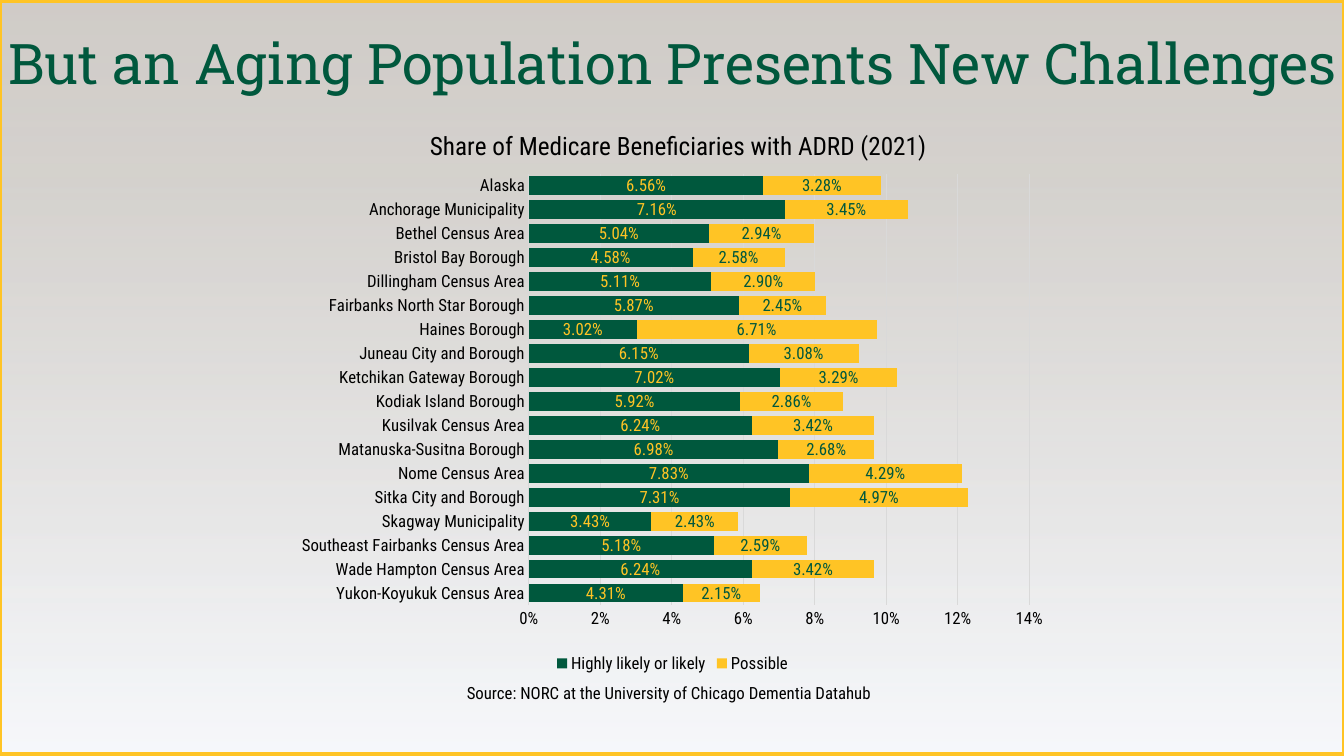
from lxml import etree
from pptx import Presentation
from pptx.chart.data import CategoryChartData
from pptx.dml.color import RGBColor
from pptx.enum.chart import XL_CHART_TYPE, XL_LABEL_POSITION, XL_LEGEND_POSITION, XL_TICK_MARK
from pptx.enum.shapes import MSO_SHAPE
from pptx.enum.text import MSO_ANCHOR, PP_ALIGN
from pptx.oxml import parse_xml
from pptx.oxml.ns import nsdecls, qn
from pptx.util import Inches, Pt

BAR_STACKED = XL_CHART_TYPE.BAR_STACKED
LABEL_CENTER = XL_LABEL_POSITION.CENTER
LEGEND_BOTTOM = XL_LEGEND_POSITION.BOTTOM
NO_TICK = XL_TICK_MARK.NONE
BOTTOM, TOP = MSO_ANCHOR.BOTTOM, MSO_ANCHOR.TOP
CENTER, LEFT = PP_ALIGN.CENTER, PP_ALIGN.LEFT

GREEN = RGBColor(0x00, 0x58, 0x3D)
GOLD = RGBColor(0xFF, 0xC4, 0x25)
BLACK = RGBColor(0, 0, 0)
GRID = RGBColor(0xD9, 0xD9, 0xD9)
MIST = RGBColor(0xF6, 0xF8, 0xFC)
STONE = RGBColor(0xCB, 0xC7, 0xC2)
BODY_FONT, TITLE_FONT = "Roboto Condensed", "Roboto Slab"

TITLE = "But an Aging Population Presents New Challenges"
CHART_TITLE = "Share of Medicare Beneficiaries with ADRD (2021)"
SOURCE = "Source: NORC at the University of Chicago Dementia Datahub"
BACKDROP_STOPS = [(0, MIST, 90), (76, STONE, 80), (100, STONE, 90)]  # position, colour, opacity
SERIES = [("Highly likely or likely", GREEN, GOLD), ("Possible", GOLD, GREEN)]  # name, bar, label
SHARES = [  # area, highly likely or likely %, possible %; top to bottom
    ("Alaska", 6.56, 3.28),
    ("Anchorage Municipality", 7.16, 3.45),
    ("Bethel Census Area", 5.04, 2.94),
    ("Bristol Bay Borough", 4.58, 2.58),
    ("Dillingham Census Area", 5.11, 2.90),
    ("Fairbanks North Star Borough", 5.87, 2.45),
    ("Haines Borough", 3.02, 6.71),
    ("Juneau City and Borough", 6.15, 3.08),
    ("Ketchikan Gateway Borough", 7.02, 3.29),
    ("Kodiak Island Borough", 5.92, 2.86),
    ("Kusilvak Census Area", 6.24, 3.42),
    ("Matanuska-Susitna Borough", 6.98, 2.68),
    ("Nome Census Area", 7.83, 4.29),
    ("Sitka City and Borough", 7.31, 4.97),
    ("Skagway Municipality", 3.43, 2.43),
    ("Southeast Fairbanks Census Area", 5.18, 2.59),
    ("Wade Hampton Census Area", 6.24, 3.42),
    ("Yukon-Koyukuk Census Area", 4.31, 2.15),
]


def set_font(font, size, color=BLACK, name=BODY_FONT):
    for key, value in {"size": Pt(size), "name": name, "bold": False}.items():
        setattr(font, key, value)
    font.color.rgb = color


def add_text(slide, box, text, size, color, font, align, anchor, spacing=1.0):
    tf = slide.shapes.add_textbox(*map(Inches, box)).text_frame
    settings = {"word_wrap": True, "vertical_anchor": anchor,
                "margin_left": Inches(0.05), "margin_right": Inches(0.05)}
    for key, value in settings.items():
        setattr(tf, key, value)
    p = tf.paragraphs[0]
    p.alignment, p.line_spacing = align, spacing
    r = p.add_run()
    r.text = text
    set_font(r.font, size, color, font)


def add_backdrop(slide):
    sp = slide.shapes.add_shape(MSO_SHAPE.RECTANGLE, *map(Inches, (0, 0.01, 13.33, 7.47)))
    sp.shadow.inherit = False
    sp.line.color.rgb = GOLD
    sp.line.width = Pt(3)
    stops = "".join(
        f'<a:gs pos="{pos * 1000}"><a:srgbClr val="{color}"><a:alpha val="{opacity * 1000}"/>'
        f'</a:srgbClr></a:gs>' for pos, color, opacity in BACKDROP_STOPS)
    gradient = parse_xml(f'<a:gradFill {nsdecls("a")} rotWithShape="1"><a:gsLst>{stops}</a:gsLst>'
                         '<a:lin ang="16200000" scaled="0"/></a:gradFill>')
    sp.element.spPr.find(qn("a:prstGeom")).addnext(gradient)


def place(parent, before, **fractions):
    """Position a chart part by fractions of the chart, ahead of the first tag in before."""
    for old in parent.findall(qn("c:layout")):
        parent.remove(old)
    layout = etree.Element(qn("c:layout"))
    manual = etree.SubElement(layout, qn("c:manualLayout"))
    values = {"xMode": "edge", "yMode": "edge", **fractions}
    if "w" in fractions:
        values = {"layoutTarget": "inner", **values}
    for tag, value in values.items():
        etree.SubElement(manual, qn("c:" + tag)).set("val", str(value))
    following = next(child for child in parent if child.tag in map(qn, before))
    following.addprevious(layout)


def add_share_chart(slide):
    data = CategoryChartData(number_format="0.00%")
    rows = SHARES[::-1]
    data.categories = [row[0] for row in rows]
    for i, (name, _, _) in enumerate(SERIES, 1):
        data.add_series(name, [round(row[i] / 100, 4) for row in rows])
    box = map(Inches, (2.84, 1.01, 7.66, 5.71))
    chart = slide.shapes.add_chart(BAR_STACKED, *box, data).chart
    set_font(chart.font, 10)

    chart.has_title = True
    tf = chart.chart_title.text_frame
    tf.text = CHART_TITLE
    set_font(tf.paragraphs[0].runs[0].font, 18)
    chart.chart_title.include_in_layout = False
    place(chart.chart_title.format and chart.element.chart.find(qn("c:title")),
          ("c:overlay",), x=0.18, y=0.04)
    place(chart.element.chart.plotArea, ("c:barChart",), x=0.314, y=0.125, w=0.648, h=0.75)

    chart.has_legend = True
    chart.legend.position = LEGEND_BOTTOM
    chart.legend.include_in_layout = False
    set_font(chart.legend.font, 12)

    for axis in (chart.category_axis, chart.value_axis):
        axis.major_tick_mark = axis.minor_tick_mark = NO_TICK
        set_font(axis.tick_labels.font, 12)
    chart.value_axis.minimum_scale = 0
    chart.value_axis.maximum_scale = 0.14
    chart.value_axis.major_unit = 0.02
    chart.value_axis.format.line.fill.background()
    chart.value_axis.tick_labels.number_format = "0%"
    chart.value_axis.tick_labels.number_format_is_linked = False
    for part in (chart.category_axis, chart.value_axis.major_gridlines):
        part.format.line.color.rgb = GRID
        part.format.line.width = Pt(0.75)

    plot = chart.plots[0]
    plot.gap_width, plot.overlap, plot.vary_by_categories = 30, 100, False
    for series, (_, bar_color, label_color) in zip(plot.series, SERIES):
        series.format.fill.solid()
        series.format.fill.fore_color.rgb = bar_color
        labels = series.data_labels
        settings = {"show_value": True, "number_format": "0.00%",
                    "number_format_is_linked": False, "position": LABEL_CENTER}
        for key, value in settings.items():
            setattr(labels, key, value)
        set_font(labels.font, 12, label_color)


prs = Presentation()
prs.slide_width, prs.slide_height = Inches(13.33), Inches(7.5)
slide = prs.slides.add_slide(prs.slide_layouts[6])
add_backdrop(slide)
add_text(slide, (-0.05, 0.25, 13.44, 0.76), TITLE, 40, GREEN, TITLE_FONT, CENTER, BOTTOM, 0.9)
add_share_chart(slide)
add_text(slide, (4.58, 6.72, 4.23, 0.3), SOURCE, 12, BLACK, BODY_FONT, LEFT, TOP)
prs.save("out.pptx")
